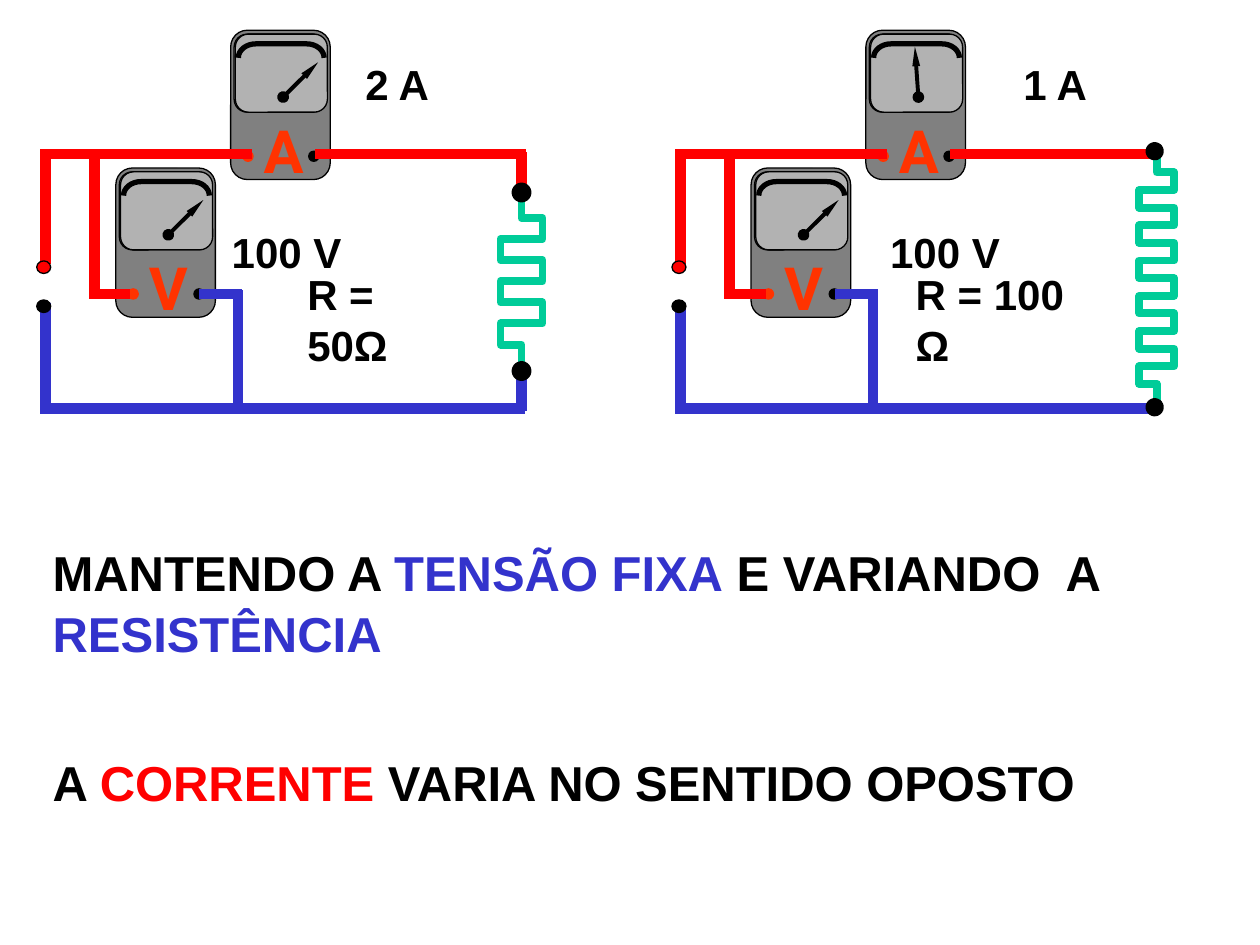
from dataclasses import dataclass
from math import cos, pi, sin

from lxml.etree import SubElement
from pptx import Presentation
from pptx.dml.color import RGBColor
from pptx.enum.shapes import MSO_CONNECTOR, MSO_SHAPE
from pptx.enum.text import PP_ALIGN
from pptx.oxml.ns import qn
from pptx.util import Pt


@dataclass(frozen=True)
class Theme:
    black: str = "000000"
    red: str = "FF0000"
    blue: str = "3333CC"
    green: str = "00CC99"
    orange: str = "FF3300"
    body: str = "808080"
    face: str = "B2B2B2"
    font: str = "Arial"
    meter_font: str = "Roboto"
    label_size: float = 24
    statement_size: float = 28
    meter_size: float = 34
    outline: float = 0.75
    needle: float = 2.25
    arc: float = 3
    resistor: float = 4.5
    wire: float = 6


THEME = Theme()
CIRCUIT_STEP = 363


def add_text(page, text, left, top, width, height, *, size=THEME.label_size,
             font=THEME.font, color=THEME.black, align=PP_ALIGN.LEFT,
             wrap=False, spacing=None):
    """Add bold text; text is a string or a list of (string, color) pairs."""
    box = page.shapes.add_textbox(Pt(left), Pt(top), Pt(width), Pt(height))
    box.text_frame.word_wrap = wrap
    para = box.text_frame.paragraphs[0]
    para.alignment = align
    if spacing:
        para.line_spacing = spacing
    for words, tint in [(text, color)] if isinstance(text, str) else text:
        span = para.add_run()
        span.text = words
        span.font.name = font
        span.font.size = Pt(size)
        span.font.bold = True
        span.font.color.rgb = RGBColor.from_string(tint)


def style_line(line, color, width):
    line.color.rgb = RGBColor.from_string(color)
    line.width = Pt(width)


def add_preset(page, kind, left, top, width, height, fill,
               line=THEME.black, weight=THEME.outline):
    shape = page.shapes.add_shape(kind, Pt(left), Pt(top), Pt(width), Pt(height))
    shape.shadow.inherit = False
    shape.fill.solid()
    shape.fill.fore_color.rgb = RGBColor.from_string(fill)
    style_line(shape.line, line, weight)


def add_dot(page, x, y, width, height, fill, **line):
    """Add an ellipse centred on x, y."""
    add_preset(page, MSO_SHAPE.OVAL, x - width / 2, y - height / 2,
               width, height, fill, **line)


def add_path(page, points, color, weight):
    start, *rest = [(Pt(x), Pt(y)) for x, y in points]
    builder = page.shapes.build_freeform(*start)
    builder.add_line_segments(rest, close=False)
    shape = builder.convert_to_shape()
    shape.shadow.inherit = False
    shape.fill.background()
    style_line(shape.line, color, weight)


def add_line(page, x1, y1, x2, y2, color, weight=THEME.wire, needle=False):
    line = page.shapes.add_connector(MSO_CONNECTOR.STRAIGHT,
                                     Pt(x1), Pt(y1), Pt(x2), Pt(y2))
    style_line(line.line, color, weight)
    if needle:
        ends = line.line._get_or_add_ln()
        SubElement(ends, qn("a:headEnd"), type="oval")
        SubElement(ends, qn("a:tailEnd"), type="triangle", w="sm", len="lg")
    SubElement(line._element.spPr, qn("a:effectLst"))


def add_dial(page, left, top):
    """Add the face of a meter with its scale arc."""
    add_preset(page, MSO_SHAPE.ROUNDED_RECTANGLE, left, top, 52.6, 44.6, THEME.face)
    angles = [pi / 2 * step / 8 for step in range(9)]
    rise = [(10 - 10 * cos(a), 8 - 8 * sin(a)) for a in angles]
    fall = [(49 - x, y) for x, y in reversed(rise)]
    add_path(page, [(left + 1.7 + x, top + 5.6 + y) for x, y in rise + fall],
             THEME.black, THEME.arc)


def add_meter(page, left, top, letter, tip=(50, 18.3)):
    add_preset(page, MSO_SHAPE.ROUNDED_RECTANGLE, left, top, 56.9, 85.3, THEME.body)
    for shift in (0, 0.7):
        add_dial(page, left + 2 + shift, top + 2.2)
    add_line(page, left + 30, top + 38.2, left + tip[0], top + tip[1],
             THEME.black, THEME.needle, needle=True)
    for x, color in ((9.9, THEME.orange), (47.5, THEME.black)):
        add_dot(page, left + x, top + 72, 5.8, 5.8, color, line=color)
    add_text(page, letter, left + 11.8, top + 52, 37, 40, size=THEME.meter_size,
             font=THEME.meter_font, color=THEME.orange, spacing=0.8)


def add_resistor(page, x, top, bottom, swing, steps):
    """Add a square zigzag that goes right first and ends on its axis."""
    pitch = (bottom - top) / steps
    sides = [x] + [x + swing * (-1) ** i for i in range(steps - 2)] + [x]
    points = [(side, top + level * pitch)
              for i, side in enumerate(sides) for level in (i, i + 1)]
    add_path(page, points, THEME.green, THEME.resistor)


def add_circuit(page, left, ammeter_tip):
    """Add source, wires and both meters, without the resistor."""
    def wires(*segments):
        for x1, y1, x2, y2, color in segments:
            add_line(page, left + x1, y1, left + x2, y2, color)

    red, blue = THEME.red, THEME.blue
    add_meter(page, left + 131.8, 17.3, "A", ammeter_tip)
    wires((26, 88, 26, 151, red), (26, 173, 26, 236, blue))
    for y, color in ((152.7, red), (175, THEME.black)):
        add_dot(page, left + 25, y, 8, 7.2, color)
    wires((54, 89, 54, 170.6, red), (136, 166, 136, 235, blue),
          (23, 88, 144, 88, red), (23, 233.3, 300, 233.3, blue),
          (180, 88, 300.5, 88, red))
    add_meter(page, left + 66.2, 96, "V")
    wires((54, 168, 74.5, 168, red), (114, 168, 138.5, 168, blue))


def add_nodes(page, x, heights, size):
    for y in heights:
        add_dot(page, x, y, size, size, THEME.black, weight=THEME.wire)


def main():
    deck = Presentation()
    deck.slide_width, deck.slide_height = Pt(720), Pt(540)
    page = deck.slides.add_slide(deck.slide_layouts[6])

    add_text(page, [("MANTENDO A ", THEME.black), ("TENSÃO FIXA", THEME.blue),
                    (" E VARIANDO  A ", THEME.black), ("RESISTÊNCIA", THEME.blue)],
             23, 305.3, 661, 75, size=THEME.statement_size, wrap=True, spacing=1.04)
    add_text(page, [("A ", THEME.black), ("CORRENTE", THEME.red),
                    (" VARIA NO SENTIDO OPOSTO", THEME.black)],
             23, 426.5, 603, 41, size=THEME.statement_size)

    add_circuit(page, 0, (50, 18.3))
    add_line(page, 298, 87, 298, 113, THEME.red)
    add_line(page, 298, 209, 298, 235, THEME.blue)
    add_resistor(page, 298, 112.5, 209, 12, 8)
    add_nodes(page, 298, (110, 212), 5.4)

    add_circuit(page, CIRCUIT_STEP, (28, 9.4))
    add_resistor(page, 661, 88.5, 229.5, 10, 14)
    add_nodes(page, 659.8, (86.4, 232.7), 4.5)

    add_text(page, "R = 50Ω", 168.5, 150, 98, 36, wrap=True)
    add_text(page, "R = 100 Ω", 516.2, 150, 114, 36, wrap=True)
    for text, left, top, width in (("2 A", 201, 30.2, 52), ("1 A", 577, 30.2, 52),
                                   ("100 V", 125.3, 126, 77), ("100 V", 501.5, 126, 77)):
        add_text(page, text, left, top, width, 36, align=PP_ALIGN.CENTER, wrap=True)

    deck.save("out.pptx")


if __name__ == "__main__":
    main()
